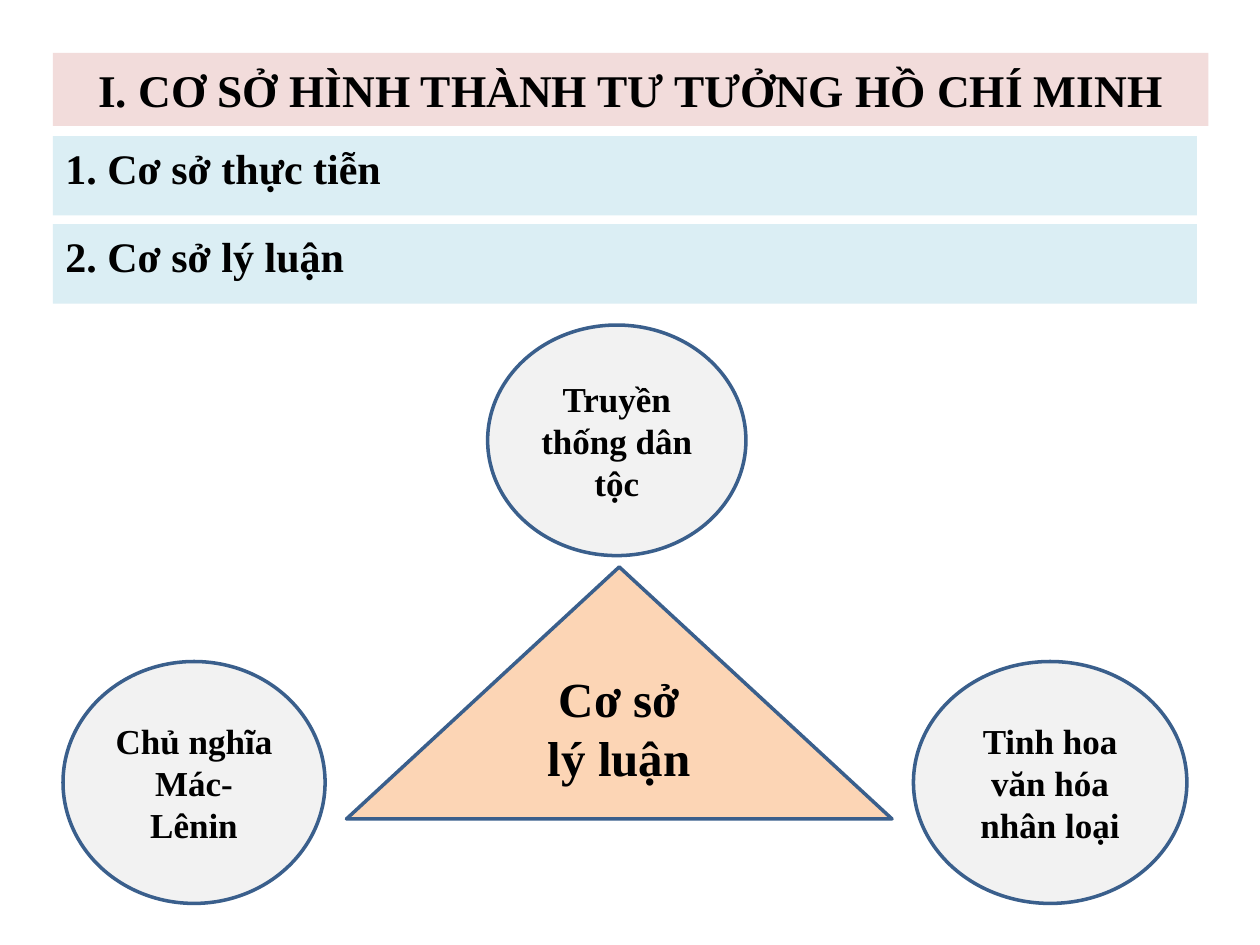
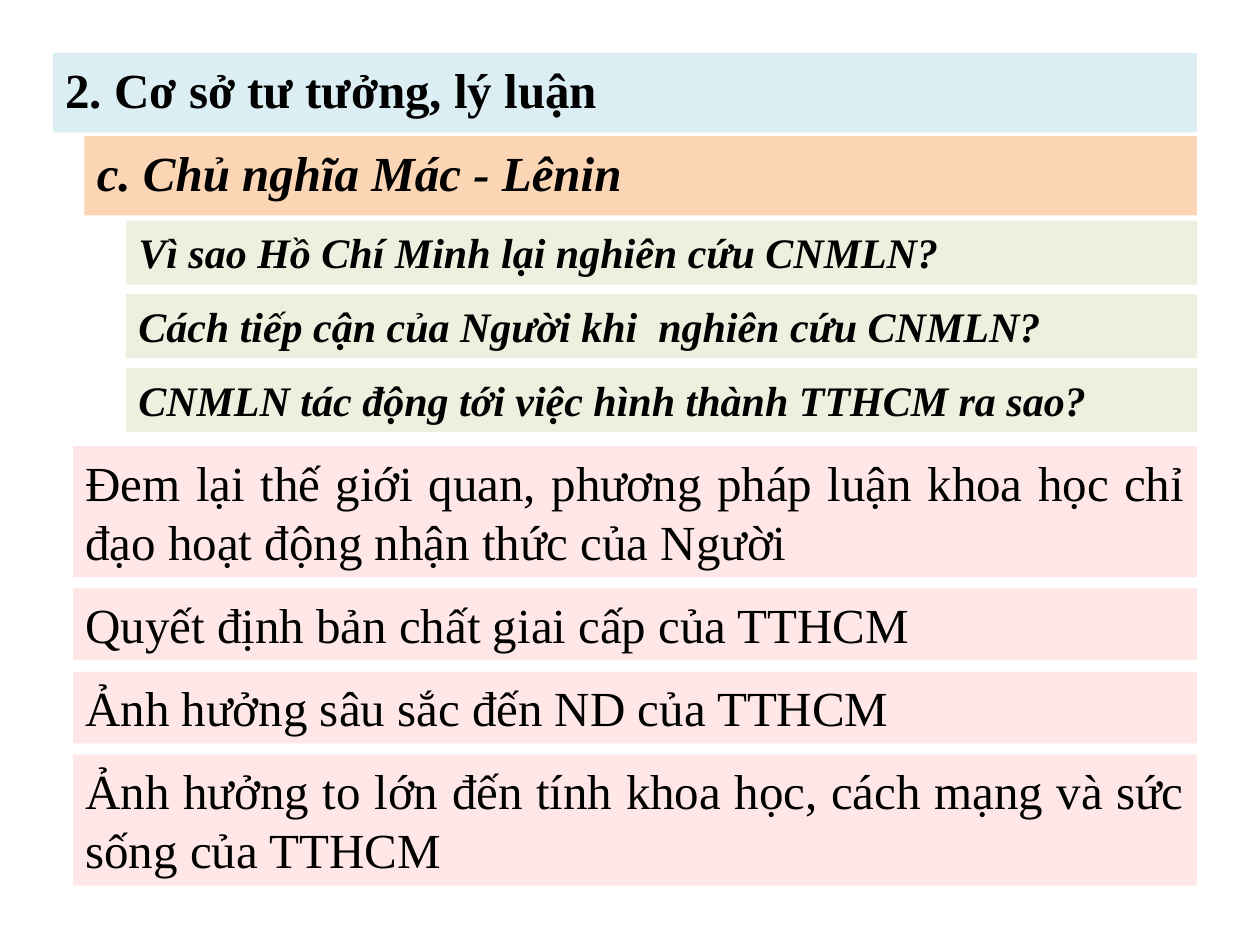
from pptx import Presentation
from pptx.dml.color import RGBColor
from pptx.enum.shapes import MSO_SHAPE as Shape
from pptx.enum.text import MSO_ANCHOR as Anchor, MSO_AUTO_SIZE as AutoSize, PP_ALIGN as Align
from pptx.util import Inches, Pt

FONT = "Times New Roman"
BLACK = "000000"
ROSE = "F2DCDB"
PINK = "FFE7E7"
BLUE = "DBEEF4"
ORANGE = "FCD5B5"
GREEN = "EBF1DE"
GREY = "F2F2F2"
OUTLINE = "3A5F8C"

RIGHT_EDGE = 9.5
MARGIN = 0.42
HEADING_HEIGHT = 0.63


def color(hex_string):
    return RGBColor.from_string(hex_string)


def paint(shape, fill, line=None):
    shape.fill.solid()
    shape.fill.fore_color.rgb = color(fill)
    if line:
        shape.line.color.rgb = color(line)
        shape.line.width = Pt(2)
    else:
        shape.line.fill.background()


def write(shape, text, size=24, bold=True, italic=False, align=Align.LEFT,
          anchor=Anchor.TOP, bottom=0.05):
    frame = shape.text_frame
    frame.word_wrap = True
    frame.auto_size = AutoSize.NONE
    frame.vertical_anchor = anchor
    frame.margin_bottom = Inches(bottom)
    frame.text = text
    for paragraph in frame.paragraphs:
        paragraph.alignment = align
        font = paragraph.font
        font.name, font.size = FONT, Pt(size)
        font.bold, font.italic = bold, italic
        font.color.rgb = color(BLACK)


def add_title(slide, text, top, width, height, fill, **text_format):
    title = slide.shapes.title
    title.left, title.top = Inches(MARGIN), Inches(top)
    title.width, title.height = Inches(width), Inches(height)
    paint(title, fill)
    write(title, text, **text_format)


def add_figure(slide, kind, text, left, top, width, height, fill, line=None, **text_format):
    shape = slide.shapes.add_shape(
        kind, Inches(left), Inches(top), Inches(width), Inches(height))
    shape.shadow.inherit = False
    paint(shape, fill, line)
    write(shape, text, **text_format)


def add_band(slide, text, left, top, height, fill, **text_format):
    """A filled strip that runs to the shared right edge."""
    add_figure(slide, Shape.RECTANGLE, text, left, top, RIGHT_EDGE - left, height,
               fill, **text_format)


def add_foundations_slide(presentation):
    slide = presentation.slides.add_slide(presentation.slide_layouts[5])
    centered = {"align": Align.CENTER, "anchor": Anchor.MIDDLE}

    # Chapter title and section headings
    add_title(slide, "I. CƠ SỞ HÌNH THÀNH TƯ TƯỞNG HỒ CHÍ MINH", 0.42, 9.17, 0.58,
              ROSE, size=25.9, **centered)
    for index, heading in enumerate(["1. Cơ sở thực tiễn", "2. Cơ sở lý luận"]):
        add_band(slide, heading, MARGIN, 1.08 + index * 0.7, HEADING_HEIGHT, BLUE)

    # Triangle with a source of thought at each corner
    add_figure(slide, Shape.ISOSCELES_TRIANGLE, "Cơ sở\nlý luận", 2.75, 4.5, 4.33, 2,
               ORANGE, OUTLINE, size=28, bottom=0.5, **centered)
    sources = [
        ("Truyền thống dân tộc", 3.87, 2.58, 2.05, 1.83),
        ("Chủ nghĩa Mác-Lênin", 0.5, 5.25, 2.08, 1.92),
        ("Tinh hoa văn hóa nhân loại", 7.25, 5.25, 2.17, 1.92),
    ]
    for text, *box in sources:
        add_figure(slide, Shape.OVAL, text, *box, GREY, OUTLINE, size=20, **centered)


def add_marxism_slide(presentation):
    slide = presentation.slides.add_slide(presentation.slide_layouts[5])

    # Section title and subsection
    add_title(slide, "2. Cơ sở tư tưởng, lý luận", 0.42, RIGHT_EDGE - MARGIN,
              HEADING_HEIGHT, BLUE, size=28)
    add_band(slide, "c. Chủ nghĩa Mác - Lênin", 0.67, 1.08, HEADING_HEIGHT, ORANGE,
             size=28, italic=True)

    # Questions
    questions = [
        "Vì sao Hồ Chí Minh lại nghiên cứu CNMLN?",
        "Cách tiếp cận của Người khi  nghiên cứu CNMLN?",
        "CNMLN tác động tới việc hình thành TTHCM ra sao?",
    ]
    for index, question in enumerate(questions):
        add_band(slide, question, 1, 1.75 + index * 0.585, 0.51, GREEN, italic=True)

    # Answers, stacked with an equal gap
    answers = [
        ("Đem lại thế giới quan, phương pháp luận khoa học chỉ đạo hoạt động "
         "nhận thức của Người", 1.04),
        ("Quyết định bản chất giai cấp của TTHCM", 0.57),
        ("Ảnh hưởng sâu sắc đến ND của TTHCM", 0.57),
        ("Ảnh hưởng to lớn đến tính khoa học, cách mạng và sức sống của TTHCM", 1.04),
    ]
    top = 3.54
    for answer, height in answers:
        add_band(slide, answer, 0.58, top, height, PINK, size=28, bold=False,
                 align=Align.JUSTIFY)
        top += height + 0.09


def main():
    presentation = Presentation()
    presentation.slide_width, presentation.slide_height = Inches(10), Inches(7.5)
    add_foundations_slide(presentation)
    add_marxism_slide(presentation)
    presentation.save("out.pptx")


if __name__ == "__main__":
    main()
